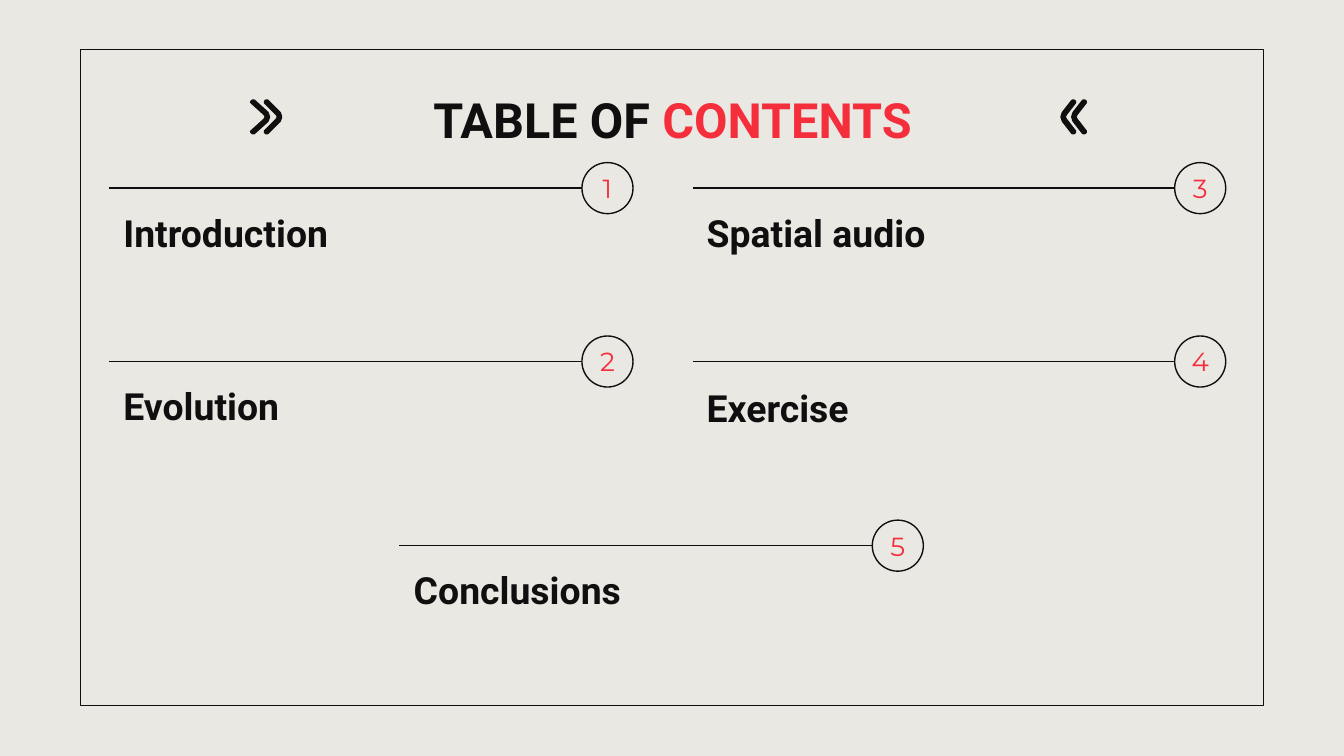
"""Build a table of contents slide with five numbered sections."""
from dataclasses import dataclass

from pptx import Presentation
from pptx.dml.color import RGBColor as Rgb
from pptx.enum.shapes import MSO_CONNECTOR as Link, MSO_SHAPE as Kind
from pptx.enum.text import MSO_ANCHOR as Anchor, PP_ALIGN as Align
from pptx.oxml.ns import qn
from pptx.shapes.autoshape import Shape
from pptx.shapes.shapetree import SlideShapes as Shapes
from pptx.util import Inches, Pt
from lxml.etree import SubElement as Sub


@dataclass(frozen=True)
class Theme:
    paper: Rgb = Rgb.from_string("E9E8E3")
    ink: Rgb = Rgb.from_string("100E0E")
    red: Rgb = Rgb.from_string("F52E3C")
    head: str = "Roboto"
    digit: str = "Montserrat"
    title: int = 26
    label: int = 20
    num: int = 14
    thin: float = 0.75
    thick: float = 1.5


@dataclass(frozen=True)
class Item:
    num: int
    name: str
    left: float
    dot: float
    y: float
    indent: float = 0.01
    drop: float = 0.04


@dataclass(frozen=True)
class Arrow:
    tail: float
    mid: float
    width: float
    inner: float
    turn: int


@dataclass(frozen=True)
class Run:
    text: str
    color: Rgb


THEME = Theme()
DOT = 0.38
ITEMS = (
    Item(1, "Introduction", 0.81, 4.33, 1.4),
    Item(2, "Evolution", 0.81, 4.33, 2.69),
    Item(3, "Spatial audio", 5.16, 8.74, 1.4, 0),
    Item(4, "Exercise", 5.16, 8.74, 2.69, 0, 0.05),
    Item(5, "Conclusions", 2.97, 6.49, 4.06),
)
ARROWS = (
    Arrow(1.97, 0.87, 0.12, 0.1, 1),
    Arrow(1.87, 0.87, 0.13, 0.11, 1),
    Arrow(8.0, 0.87, 0.1, 0.08, -1),
    Arrow(8.08, 0.87, 0.1, 0.08, -1),
)


def outline(shapes: Shapes, kind: Kind, left: float, top: float,
            width: float, height: float) -> Shape:
    shape = shapes.add_shape(kind, Inches(left), Inches(top),
                             Inches(width), Inches(height))
    shape.shadow.inherit = False
    shape.fill.background()
    shape.line.color.rgb = THEME.ink
    shape.line.width = Pt(THEME.thin)
    return shape


def write(shapes: Shapes, left: float, top: float, width: float, height: float,
          runs: tuple[Run, ...], size: int, font: str, bold: bool,
          align: Align) -> None:
    box = shapes.add_textbox(Inches(left), Inches(top),
                             Inches(width), Inches(height))
    frame = box.text_frame
    frame.word_wrap = True
    frame.vertical_anchor = Anchor.MIDDLE
    frame.margin_left = frame.margin_right = Inches(0.1)
    frame.margin_top = frame.margin_bottom = Inches(0.1)
    para = frame.paragraphs[0]
    para.alignment = align
    for part in runs:
        run = para.add_run()
        run.text = part.text
        run.font.name = font
        run.font.size = Pt(size)
        run.font.bold = bold
        run.font.color.rgb = part.color


def rule(shapes: Shapes, start: float, end: float, y: float) -> None:
    line = shapes.add_connector(Link.STRAIGHT, Inches(start), Inches(y),
                                Inches(end), Inches(y))
    line.line.color.rgb = THEME.ink
    line.line.width = Pt(THEME.thin)
    Sub(line._element.spPr, qn("a:effectLst"))


def entry(shapes: Shapes, item: Item) -> None:
    rule(shapes, item.left, item.dot, item.y)
    outline(shapes, Kind.OVAL, item.dot, item.y - DOT / 2, DOT, DOT)
    write(shapes, item.dot + DOT / 2 - 0.27, item.y - 0.13, 0.54, 0.26,
          (Run(str(item.num), THEME.red),), THEME.num, THEME.digit,
          False, Align.CENTER)
    write(shapes, item.left + item.indent, item.y + item.drop, 3.77, 0.58,
          (Run(item.name, THEME.ink),), THEME.label, THEME.head,
          True, Align.LEFT)


def chevron(shapes: Shapes, arrow: Arrow) -> None:
    wide, deep = arrow.width, arrow.inner
    upper = ((deep - 0.01, -0.02), (0, -0.11), (0.01, -0.12),
             (0.02, -0.12), (wide - 0.01, -0.03))
    lower = tuple((x, -y) for x, y in reversed(upper))
    edge = ((deep, 0), *upper, (wide, 0), *lower)
    points = [(Inches(arrow.tail + arrow.turn * x), Inches(arrow.mid + y))
              for x, y in edge]
    form = shapes.build_freeform(*points[0])
    form.add_line_segments(points[1:], close=True)
    shape = form.convert_to_shape()
    shape.shadow.inherit = False
    shape.fill.solid()
    shape.fill.fore_color.rgb = THEME.ink
    shape.line.color.rgb = THEME.ink
    shape.line.width = Pt(THEME.thick)


def main() -> None:
    deck = Presentation()
    deck.slide_width, deck.slide_height = Inches(10), Inches(10 * 9 / 16)
    slide = deck.slides.add_slide(deck.slide_layouts[6])
    slide.background.fill.solid()
    slide.background.fill.fore_color.rgb = THEME.paper
    shapes = slide.shapes
    outline(shapes, Kind.RECTANGLE, 0.6, 0.37, 8.8, 4.88)
    write(shapes, 2.1, 0.57, 5.81, 0.63,
          (Run("TABLE OF ", THEME.ink), Run("CONTENTS", THEME.red)),
          THEME.title, THEME.head, True, Align.CENTER)
    for item in ITEMS:
        entry(shapes, item)
    for arrow in ARROWS:
        chevron(shapes, arrow)
    deck.save("out.pptx")


if __name__ == "__main__":
    main()
